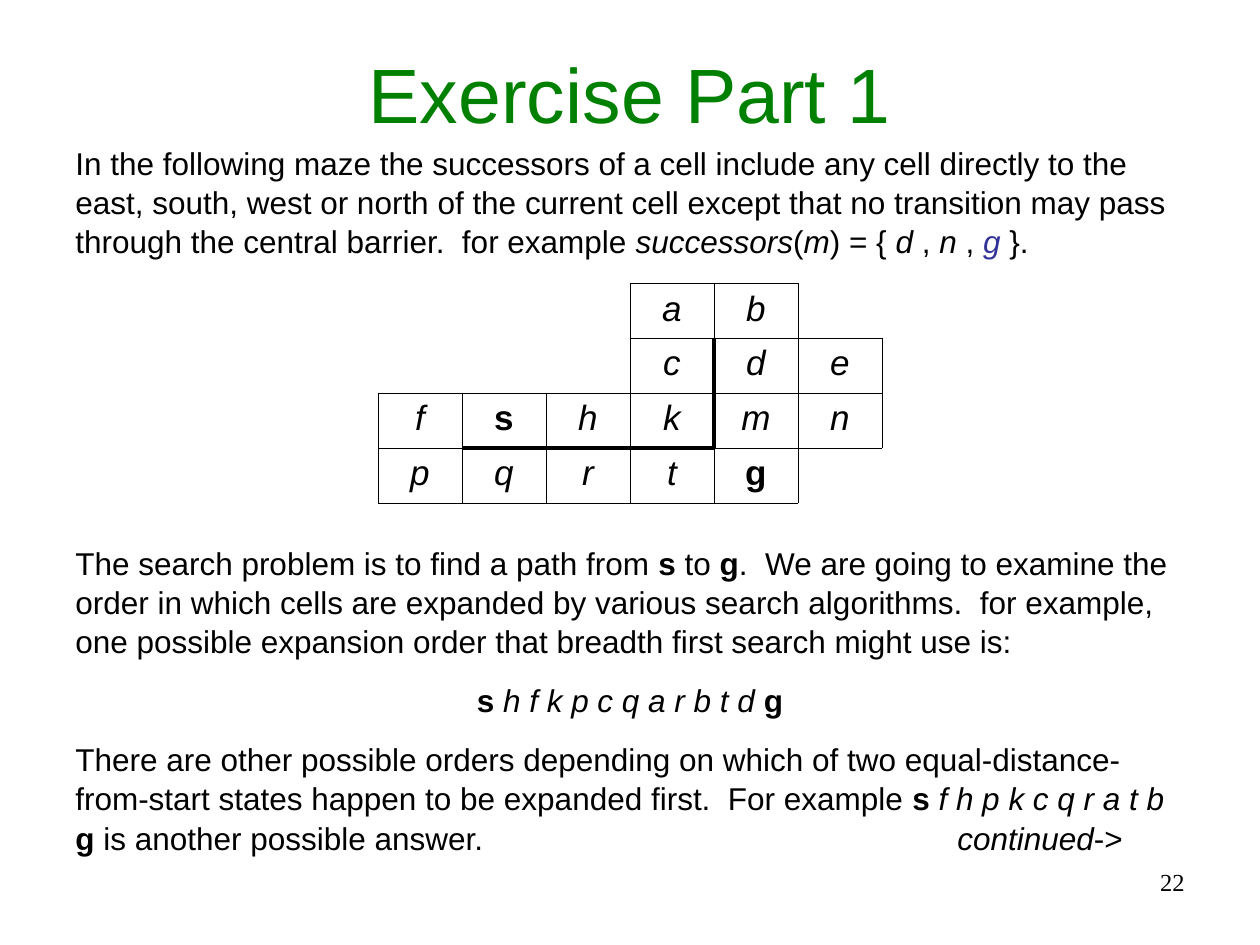
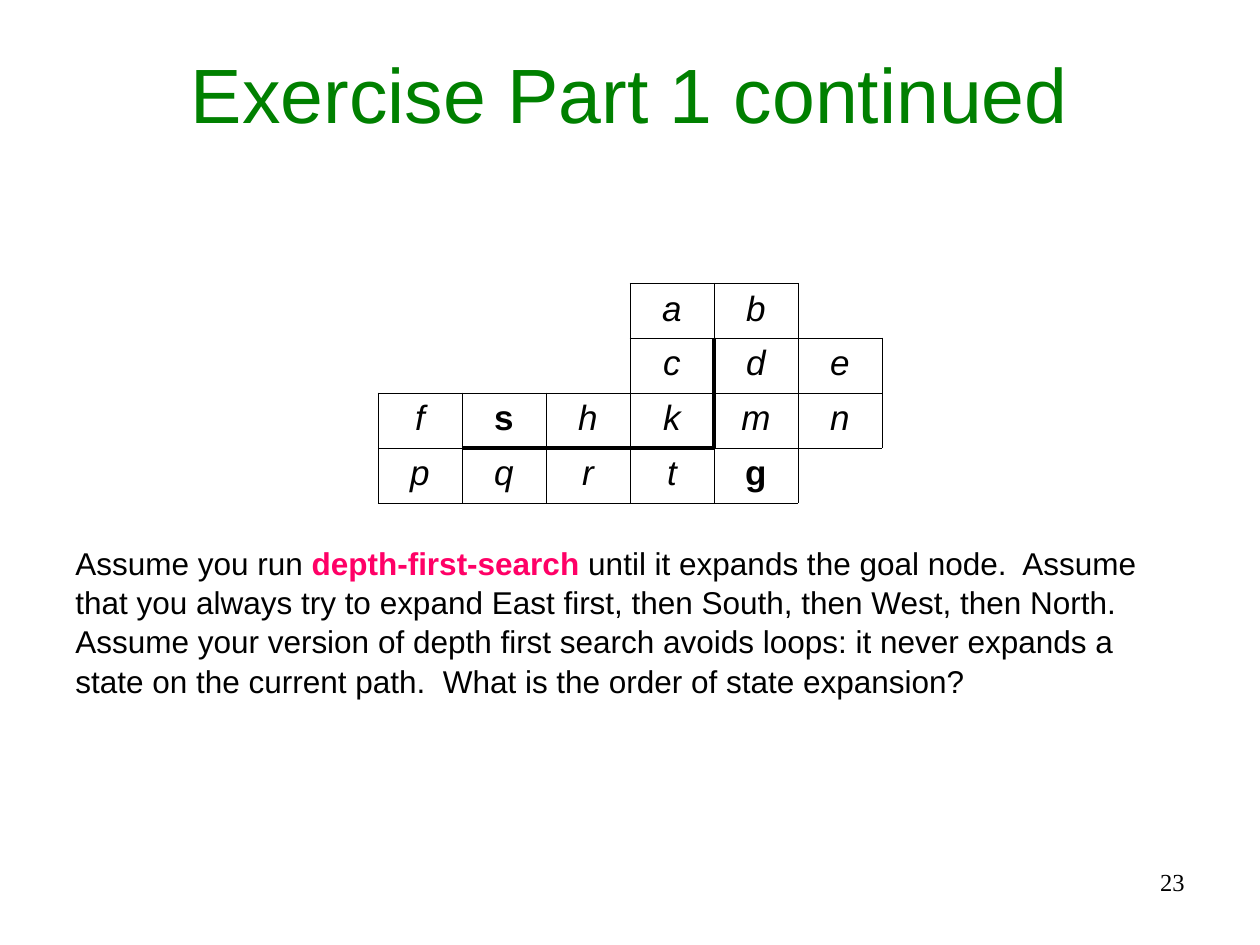
from dataclasses import dataclass
from typing import NamedTuple

from pptx import Presentation
from pptx.dml.color import RGBColor as RGB
from pptx.enum.text import MSO_ANCHOR as Anchor, MSO_AUTO_SIZE as AutoSize, PP_ALIGN as Align
from pptx.oxml.xmlchemy import OxmlElement as Element
from pptx.util import Emu, Pt

PX_PER_INCH = 126
EMU_PER_PX = 914400 / PX_PER_INCH


@dataclass(frozen=True)
class Theme:
    ink: str = "000000"
    heading: str = "008000"
    goal: str = "333399"
    accent: str = "FF0066"
    sans: str = "Arial"
    serif: str = "Times New Roman"
    title_size: int = 44
    cell_size: int = 20
    body_size: int = 18
    number_size: int = 14
    line_spacing: float = 1.04
    paragraph_gap: float = 11.2
    frame_line: float = 0.23
    cell_line: float = 0.45
    barrier_line: float = 3


THEME = Theme()


class Box(NamedTuple):
    left: int
    top: int
    width: int
    height: int


class Run(NamedTuple):
    text: str
    bold: bool = False
    italic: bool = False
    color: str = THEME.ink


class Para(NamedTuple):
    runs: list[Run]
    align: Align = Align.LEFT
    tab: int = 0


class Passage(NamedTuple):
    box: Box
    paras: list[Para]


class Page(NamedTuple):
    title: str
    number: int
    passages: list[Passage]


def bold(text: str, color: str = THEME.ink) -> Run:
    return Run(text, bold=True, color=color)


def italic(text: str, color: str = THEME.ink) -> Run:
    return Run(text, italic=True, color=color)


# Places shared by both slides
TITLE_BOX = Box(63, 38, 1134, 109)
NUMBER_BOX = Box(599, 861, 598, 65)
MAZE_LEFT, MAZE_TOP = 378, 283
CELL_WIDTH, CELL_HEIGHT = 84, 55

# The maze: a space is no cell, and the barrier lies between these pairs
MAZE = ["   ab ", "   cde", "fshkmn", "pqrtg "]
START_AND_GOAL = "sg"
BARRIER = [set(pair) for pair in ("cd", "km", "sq", "hr", "kt")]
SIDES = {"a:lnL": (0, -1), "a:lnR": (0, 1), "a:lnT": (-1, 0), "a:lnB": (1, 0)}

PAGES = [
    Page("Exercise Part 1", 22, [
        Passage(Box(63, 136, 1134, 136), [Para([
            Run("In the following maze the successors of a cell include any cell directly "
                "to the east, south, west or north of the current cell except that no "
                "transition may pass through the central barrier.  for example "),
            italic("successors"), Run("("), italic("m"), Run(") = { "), italic("d"),
            Run(" , "), italic("n"), Run(" , "), italic("g", THEME.goal), Run(" }."),
        ])]),
        Passage(Box(63, 536, 1134, 318), [
            Para([
                Run("The search problem is to find a path from "), bold("s"), Run(" to "),
                bold("g"),
                Run(".  We are going to examine the order in which cells are expanded by "
                    "various search algorithms.  for example, one possible expansion order "
                    "that breadth first search might use is:"),
            ]),
            Para([bold("s "), italic("h f k p c q a r b t d "), bold("g")], Align.CENTER),
            Para([
                Run("There are other possible orders depending on which of two "
                    "equal-distance-from-start states happen to be expanded first.  "
                    "For example "),
                bold("s "), italic("f h p k c q r a t b "), bold("g"),
                Run(" is another possible answer.\t"), italic("continued"), Run("->"),
            ], tab=7 * PX_PER_INCH),
        ]),
    ]),
    Page("Exercise Part 1 continued", 23, [
        Passage(Box(63, 536, 1134, 164), [Para([
            Run("Assume you run "), bold("depth-first-search", THEME.accent),
            Run(" until it expands the goal node.  Assume that you always try to expand "
                "East first, then South, then West, then North.  Assume your version of "
                "depth first search avoids loops: it never expands a state on the current "
                "path.  What is the order of state expansion?"),
        ])]),
    ]),
]


def px(length: int) -> Emu:
    return Emu(round(length * EMU_PER_PX))


def apply(target, values: dict) -> None:
    for name, value in values.items():
        setattr(target, name, value)


def add_run(paragraph, run: Run, size: int, face: str = THEME.sans) -> None:
    piece = paragraph.add_run()
    piece.text = run.text
    apply(piece.font, {"name": face, "size": Pt(size), "bold": run.bold, "italic": run.italic})
    piece.font.color.rgb = RGB.from_string(run.color)


def add_tab(paragraph, position: int) -> None:
    stops = Element("a:tabLst")
    stop = Element("a:tab")
    stop.set("pos", str(px(position)))
    stop.set("algn", "l")
    stops.append(stop)
    paragraph._p.get_or_add_pPr().append(stops)


def add_title(slide, text: str) -> None:
    title = slide.shapes.title
    apply(title, {name: px(value) for name, value in TITLE_BOX._asdict().items()})
    frame = title.text_frame
    apply(frame, {"word_wrap": True, "auto_size": AutoSize.NONE,
                  "vertical_anchor": Anchor.MIDDLE})
    frame.paragraphs[0].alignment = Align.CENTER
    add_run(frame.paragraphs[0], Run(text, color=THEME.heading), THEME.title_size)


def add_frame(slide, box: Box):
    frame = slide.shapes.add_textbox(*map(px, box)).text_frame
    frame.word_wrap = True
    return frame


def add_passage(slide, passage: Passage) -> None:
    frame = add_frame(slide, passage.box)
    for index, para in enumerate(passage.paras):
        paragraph = frame.add_paragraph() if index else frame.paragraphs[0]
        apply(paragraph, {"alignment": para.align, "line_spacing": THEME.line_spacing})
        if index:
            paragraph.space_before = Pt(THEME.paragraph_gap)
        if para.tab:
            add_tab(paragraph, para.tab)
        for run in para.runs:
            add_run(paragraph, run, THEME.body_size)


def add_number(slide, number: int) -> None:
    paragraph = add_frame(slide, NUMBER_BOX).paragraphs[0]
    paragraph.alignment = Align.RIGHT
    add_run(paragraph, Run(str(number)), THEME.number_size, THEME.serif)


def border_width(row: int, col: int, step: tuple[int, int]) -> float:
    """Width of the line between a maze cell and its neighbour; 0 for none."""
    near_row, near_col = row + step[0], col + step[1]
    inside = 0 <= near_row < len(MAZE) and 0 <= near_col < len(MAZE[0])
    letter = MAZE[row][col]
    neighbour = MAZE[near_row][near_col] if inside else " "
    if letter == neighbour == " ":
        return 0
    if {letter, neighbour} in BARRIER:
        return THEME.barrier_line
    return THEME.cell_line if inside else THEME.frame_line


def border(tag: str, width: float):
    line = Element(tag)
    if not width:
        line.append(Element("a:noFill"))
        return line
    line.set("w", str(Pt(width)))
    fill = Element("a:solidFill")
    color = Element("a:srgbClr")
    color.set("val", THEME.ink)
    fill.append(color)
    line.append(fill)
    return line


def add_maze(slide) -> None:
    rows, cols = len(MAZE), len(MAZE[0])
    box = Box(MAZE_LEFT, MAZE_TOP, cols * CELL_WIDTH, rows * CELL_HEIGHT)
    table = slide.shapes.add_table(rows, cols, *map(px, box)).table
    apply(table, {"first_row": False, "horz_banding": False})
    for column in table.columns:
        column.width = px(CELL_WIDTH)
    for row, letters in enumerate(MAZE):
        table.rows[row].height = px(CELL_HEIGHT)
        for col, letter in enumerate(letters):
            cell = table.cell(row, col)
            cell.fill.background()
            properties = cell._tc.get_or_add_tcPr()
            for place, (tag, step) in enumerate(SIDES.items()):
                properties.insert(place, border(tag, border_width(row, col, step)))
            if letter != " ":
                paragraph = cell.text_frame.paragraphs[0]
                paragraph.alignment = Align.CENTER
                style = bold if letter in START_AND_GOAL else italic
                add_run(paragraph, style(letter), THEME.cell_size)


def main() -> None:
    deck = Presentation()
    apply(deck, {"slide_width": px(1260), "slide_height": px(945)})
    title_only = deck.slide_layouts[5]
    for page in PAGES:
        slide = deck.slides.add_slide(title_only)
        add_title(slide, page.title)
        add_maze(slide)
        for passage in page.passages:
            add_passage(slide, passage)
        add_number(slide, page.number)
    deck.save("out.pptx")


if __name__ == "__main__":
    main()
